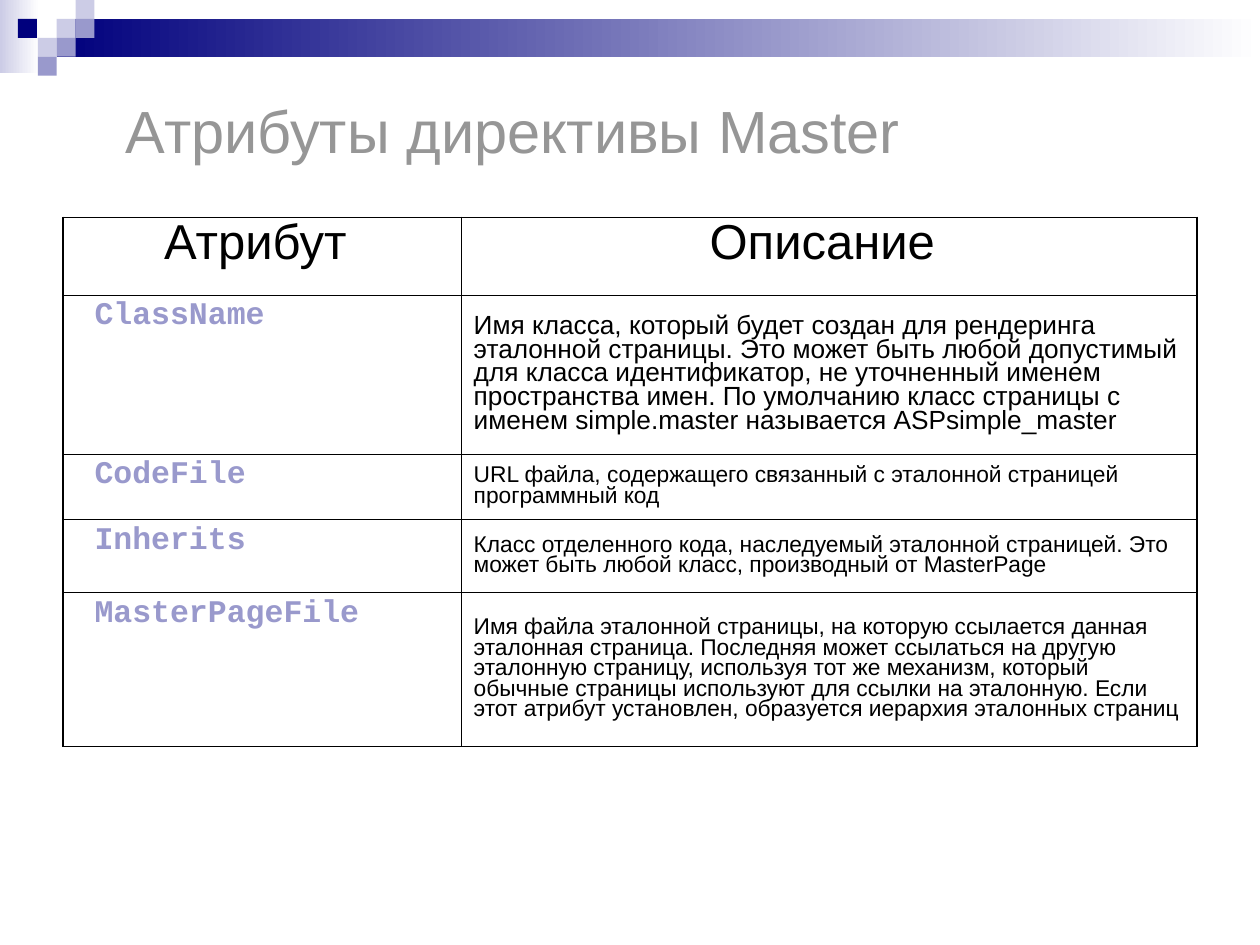
from dataclasses import dataclass

from lxml import etree
from pptx import Presentation
from pptx.dml.color import RGBColor
from pptx.enum.shapes import MSO_SHAPE
from pptx.enum.text import MSO_ANCHOR, PP_ALIGN
from pptx.oxml.ns import qn
from pptx.util import Inches, Pt

RECT = MSO_SHAPE.RECTANGLE
TOP, MIDDLE = MSO_ANCHOR.TOP, MSO_ANCHOR.MIDDLE
LEFT, CENTER = PP_ALIGN.LEFT, PP_ALIGN.CENTER
COL, ROW = 0.015, 0.02


@dataclass(frozen=True)
class Theme:
    navy: str = "00007D"
    violet: str = "9999CC"
    pale: str = "CCCCE6"
    white: str = "FFFFFF"
    black: str = "000000"
    grey: str = "969696"
    sans: str = "Arial"
    mono: str = "Courier New"
    title: int = 34
    title_gap: int = 44
    header: int = 28
    name: int = 18
    lead: int = 15
    body: int = 13
    spacing: float = 0.81
    outer: float = 1.08
    header_rule: float = 0.75
    inner: float = 0.45


class Deck:
    """Draws elements on the current slide in one theme."""

    def __init__(self, theme):
        self.theme = theme
        self.prs = Presentation()
        self.prs.slide_width, self.prs.slide_height = Inches(10), Inches(7.5)
        self.s = self.prs.slides.add_slide(self.prs.slide_layouts[6])

    def box(self, x, y, w, h):
        sw, sh = self.prs.slide_width, self.prs.slide_height
        return int(x * sw), int(y * sh), int(w * sw), int(h * sh)

    def block(self, col, row, cols, rows, *colors):
        sp = self.s.shapes.add_shape(
            RECT, *self.box(col * COL, row * ROW, cols * COL, rows * ROW))
        sp.shadow.inherit = False
        sp.line.fill.background()
        if len(colors) == 1:
            sp.fill.solid()
            sp.fill.fore_color.rgb = RGBColor.from_string(colors[0])
            return
        sp.fill.gradient()
        sp.fill.gradient_angle = 0
        for stop, color in zip(sp.fill.gradient_stops, colors):
            stop.color.rgb = RGBColor.from_string(color)

    def style(self, r, size, color, font, bold=False):
        r.font.size, r.font.name, r.font.bold = Pt(size), font, bold
        r.font.color.rgb = RGBColor.from_string(color)

    def title(self, text, *share):
        t = self.theme
        tf = self.s.shapes.add_textbox(*self.box(*share)).text_frame
        tf.word_wrap, tf.vertical_anchor = True, MIDDLE
        p = tf.paragraphs[0]
        p.text = text
        self.style(p.runs[0], t.title, t.grey, t.sans)
        r = p.add_run()
        r.text = " "
        self.style(r, t.title_gap, t.black, t.sans)

    def cell(self, cell, text, size, color, font, bold=False, align=LEFT,
             anchor=TOP, indent=0.1):
        cell.fill.background()
        cell.vertical_anchor = anchor
        cell.margin_left = Inches(indent)
        p = cell.text_frame.paragraphs[0]
        p.text = text
        p.alignment, p.line_spacing = align, self.theme.spacing
        self.style(p.runs[0], size, color, font, bold)

    def borders(self, cell, widths):
        tc_pr = cell._tc.get_or_add_tcPr()
        for i, (side, width) in enumerate(zip("LRTB", widths)):
            ln = etree.Element(qn(f"a:ln{side}"), w=str(Pt(width)))
            fill = etree.SubElement(ln, qn("a:solidFill"))
            etree.SubElement(fill, qn("a:srgbClr"), val=self.theme.black)
            tc_pr.insert(i, ln)

    def table(self, header, rows, widths, heights, *share):
        t = self.theme
        tbl = self.s.shapes.add_table(
            len(rows) + 1, len(header), *self.box(*share)).table
        tbl.first_row = tbl.horz_banding = False
        for column, width in zip(tbl.columns, widths):
            column.width = Inches(width)
        for row, height in zip(tbl.rows, heights):
            row.height = Inches(height)
        for j, text in enumerate(header):
            self.cell(tbl.cell(0, j), text, t.header, t.black, t.sans,
                      align=CENTER)
        for i, (name, text, size) in enumerate(rows, 1):
            self.cell(tbl.cell(i, 0), name, t.name, t.violet, t.mono,
                      bold=True, indent=0.25)
            self.cell(tbl.cell(i, 1), text, size, t.black, t.sans,
                      anchor=MIDDLE)
        across = [t.outer, t.inner, t.outer]
        down = [t.outer, t.header_rule] + [t.inner] * (len(rows) - 1) + [t.outer]
        for i in range(len(rows) + 1):
            for j in range(len(header)):
                self.borders(tbl.cell(i, j), across[j:j + 2] + down[i:i + 2])


def main():
    t = Theme()
    deck = Deck(t)
    deck.block(0, 0, 2.07, 3.87, t.pale, t.white)
    deck.block(3, 1, 63.67, 2, t.navy, t.white)
    for col, row, color in [
        (3, 1, t.pale), (4, 0, t.pale), (4, 1, t.violet), (2, 2, t.pale),
        (0.95, 1, t.navy), (3, 2, t.violet), (2, 3, t.violet),
    ]:
        deck.block(col, row, 1, 1, color)
    deck.title("Атрибуты директивы Master", 0.09, 0.07, 0.765, 0.12)
    rows = [
        ("ClassName",
         "Имя класса, который будет создан для рендеринга эталонной страницы. "
         "Это может быть любой допустимый для класса идентификатор, не "
         "уточненный именем пространства имен. По умолчанию класс страницы с "
         "именем simple.master называется ASPsimple_master", t.lead),
        ("CodeFile",
         "URL файла, содержащего связанный с эталонной страницей "
         "программный код", t.body),
        ("Inherits",
         "Класс отделенного кода, наследуемый эталонной страницей. Это может "
         "быть любой класс, производный от MasterPage", t.body),
        ("MasterPageFile",
         "Имя файла эталонной страницы, на которую ссылается данная эталонная "
         "страница. Последняя может ссылаться на другую эталонную страницу, "
         "используя тот же механизм, который обычные страницы используют для "
         "ссылки на эталонную. Если этот атрибут установлен, образуется "
         "иерархия эталонных страниц", t.body),
    ]
    deck.table(("Атрибут ", "Описание "), rows, (3.16, 5.84),
               (0.62, 1.26, 0.52, 0.58, 1.22), 0.05, 0.23, 0.9, 0.56)
    deck.prs.save("out.pptx")


if __name__ == "__main__":
    main()
